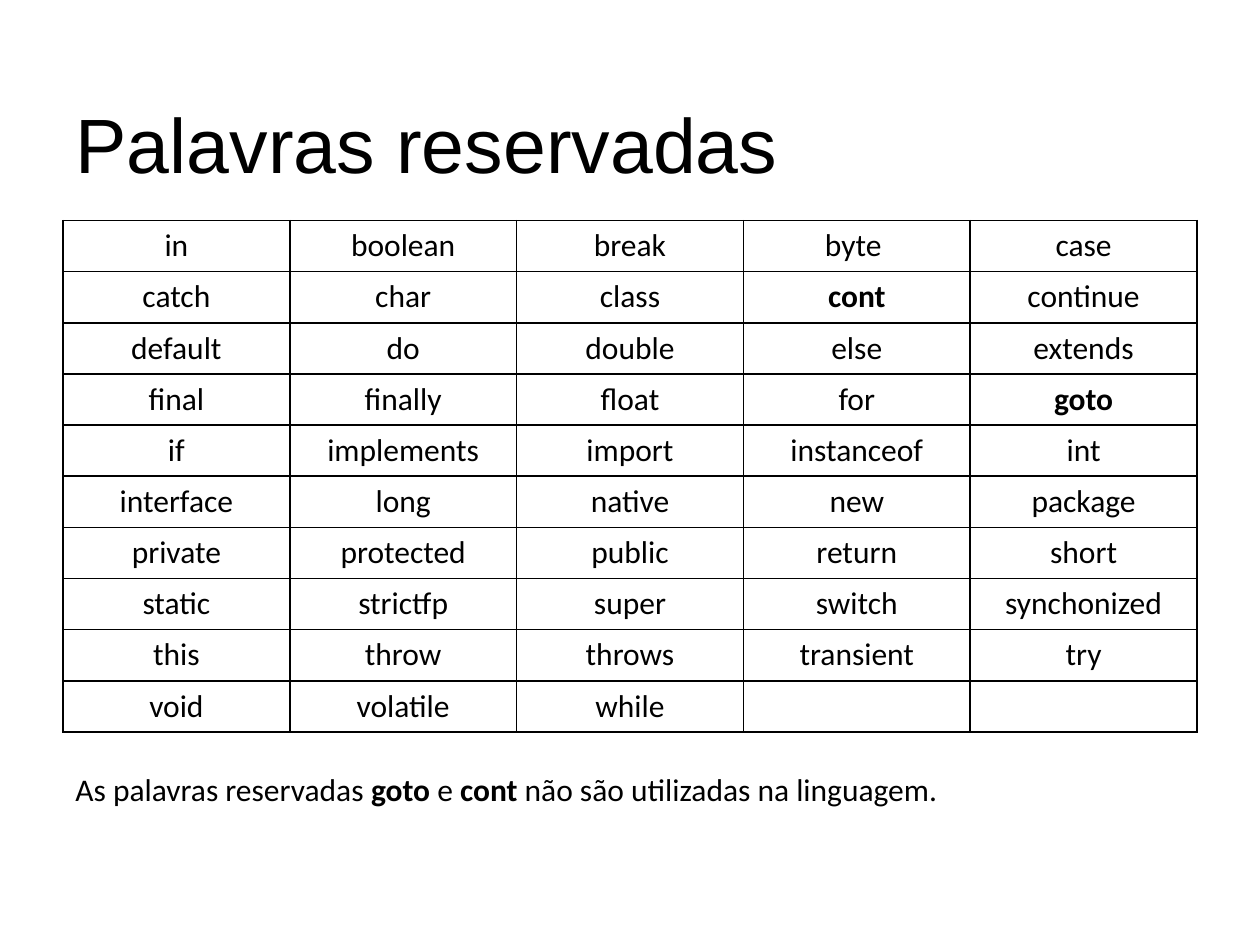
from dataclasses import dataclass
from lxml import etree
from pptx import Presentation
from pptx.dml.color import RGBColor
from pptx.enum import text as t
from pptx.oxml import ns
from pptx.util import Inches, Pt


@dataclass
class Theme:
    ink: str = "000000"
    head: str = "Arial"
    body: str = "Calibri"
    big: int = 44
    small: int = 18
    rule: int = 1


theme = Theme()


def style(par, face, size):
    par.font.name = face
    par.font.size = Pt(size)
    par.font.color.rgb = RGBColor.from_string(theme.ink)


def border(cell):
    props = cell._tc.get_or_add_tcPr()
    for side in ("lnL", "lnR", "lnT", "lnB"):
        line = etree.SubElement(props, ns.qn("a:" + side), w=str(Pt(theme.rule)))
        fill = etree.SubElement(line, ns.qn("a:solidFill"))
        etree.SubElement(fill, ns.qn("a:srgbClr"), val=theme.ink)


deck = Presentation()
deck.slide_width, deck.slide_height = Inches(10), Inches(7.5)
slide = deck.slides.add_slide(deck.slide_layouts[5])

title = slide.shapes.title
title.left, title.top = Inches(0.5), Inches(0.3)
title.width, title.height = Inches(9), Inches(1.25)
frame = title.text_frame
frame.text = "Palavras reservadas"
frame.auto_size = t.MSO_AUTO_SIZE.NONE
frame.vertical_anchor = t.MSO_ANCHOR.BOTTOM
frame.paragraphs[0].alignment = t.PP_ALIGN.LEFT
style(frame.paragraphs[0], theme.head, theme.big)

words = [
    "in|boolean|break|byte |case",
    "catch|char|class|cont|continue",
    "default|do|double|else|extends",
    "final|finally|float|for|goto",
    "if|implements|import|instanceof|int",
    "interface|long|native|new|package",
    "private|protected|public|return|short",
    "static|strictfp|super|switch|synchonized",
    "this|throw|throws|transient|try",
    "void|volatile|while||",
]
unused = ("goto", "cont")

grid = slide.shapes.add_table(
    len(words), 5, Inches(0.5), Inches(1.75), Inches(9), Inches(4.06)
).table
grid.first_row = grid.horz_banding = False
for row, line in zip(grid.rows, words):
    for cell, word in zip(row.cells, line.split("|")):
        cell.text = word
        par = cell.text_frame.paragraphs[0]
        par.alignment = t.PP_ALIGN.CENTER
        style(par, theme.body, theme.small)
        if word in unused:
            par.font.bold = True
        border(cell)
        cell.fill.background()

note = slide.shapes.add_textbox(Inches(0.5), Inches(6.06), Inches(7.11), Inches(0.4))
frame = note.text_frame
frame.word_wrap = False
frame.auto_size = t.MSO_AUTO_SIZE.SHAPE_TO_FIT_TEXT
par = frame.paragraphs[0]
style(par, theme.body, theme.small)
parts = ("As palavras reservadas ", "goto", " e ", "cont", " não são utilizadas na linguagem.")
for part in parts:
    run = par.add_run()
    run.text = part
    run.font.bold = part in unused

deck.save("out.pptx")
